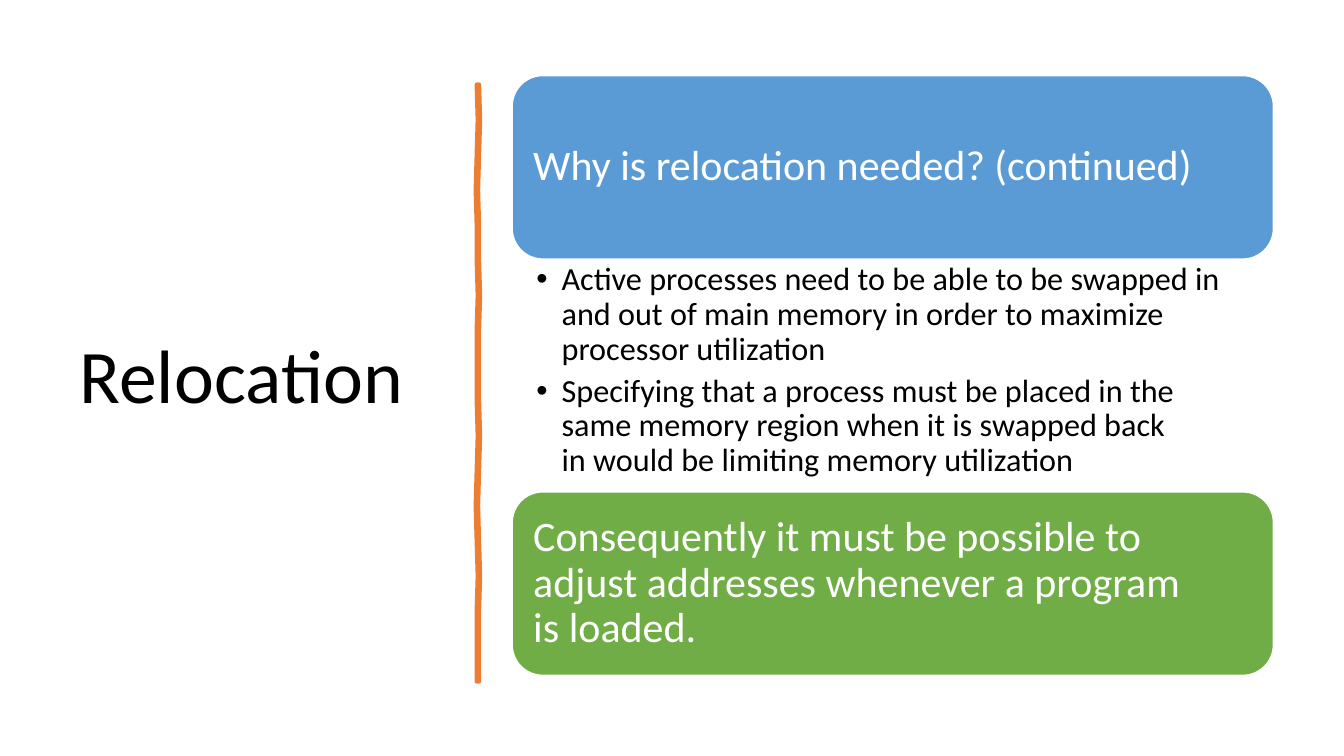
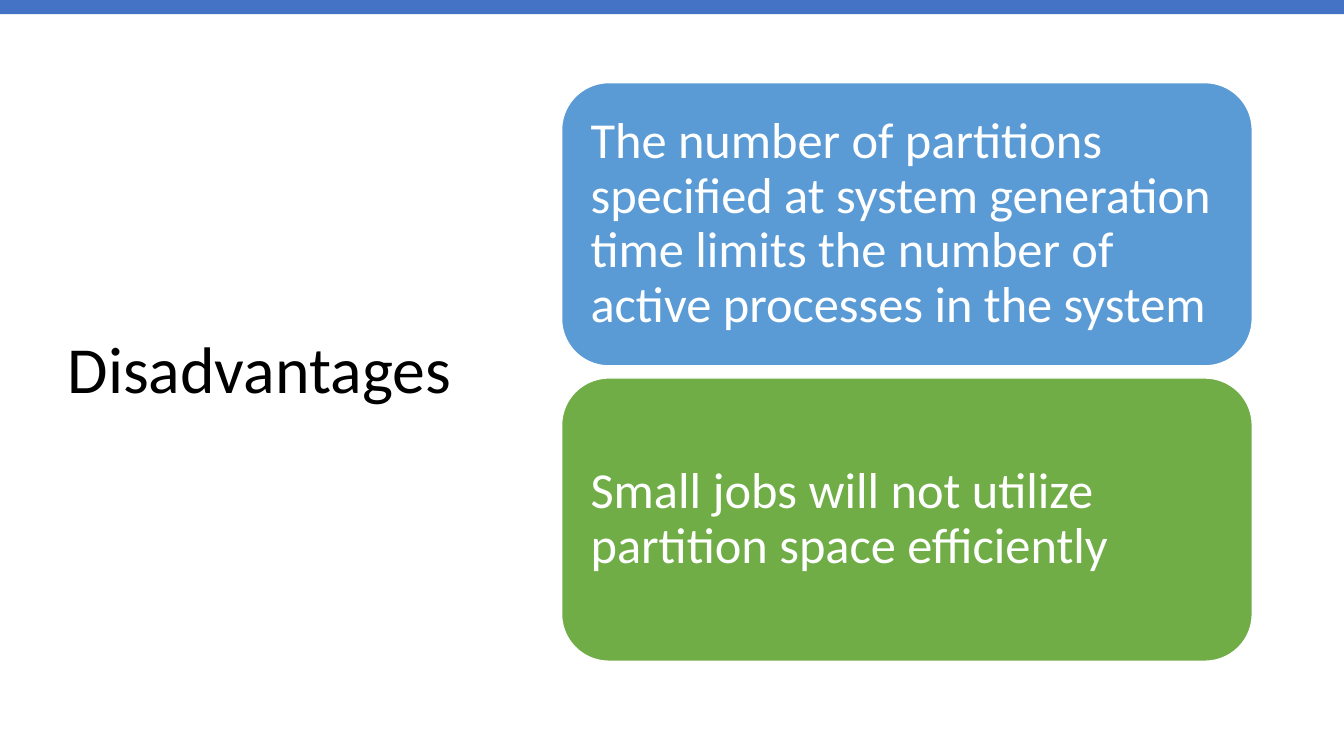
"""Two slides on memory relocation and the disadvantages of fixed partitions."""
from pptx import Presentation
from pptx import util as u
from pptx.dml.color import RGBColor
from pptx.enum import shapes, text

Inches, Pt = u.Inches, u.Pt
COLORS = {
    "black": "000000",
    "white": "FFFFFF",
    "blue": "5B9BD5",
    "green": "70AD47",
    "orange": "ED7D31",
    "band": "4472C4",
}


def write(shape, lines, size, color, insets, anchor):
    frame = shape.text_frame
    frame.word_wrap = True
    frame.auto_size = text.MSO_AUTO_SIZE.NONE
    frame.vertical_anchor = anchor
    frame.margin_left = frame.margin_right = Inches(insets[0])
    frame.margin_top = frame.margin_bottom = Inches(insets[1])
    frame.text = "\n".join(lines)
    for para in frame.paragraphs:
        para.alignment = text.PP_ALIGN.LEFT
        para.line_spacing = 0.9
        para.space_before = Pt(0)
        para.font.name = "Calibri"
        para.font.size = Pt(size)
        para.font.color.rgb = RGBColor.from_string(COLORS[color])


def paint(shape, fill, line=None, width=1):
    shape.shadow.inherit = False
    shape.fill.solid()
    shape.fill.fore_color.rgb = RGBColor.from_string(COLORS[fill])
    if line:
        shape.line.color.rgb = RGBColor.from_string(COLORS[line])
        shape.line.width = Pt(width)
    else:
        shape.line.fill.background()


deck = Presentation()
deck.slide_width, deck.slide_height = Inches(13.33), Inches(7.5)

contents = [
    {
        "layout": 1,
        "title": ("Relocation", 54, (0.69, 0.7, 3.74, 6.11)),
        "cards": [
            "Why is relocation needed? (continued)",
            "Consequently it must be possible to\vadjust addresses whenever a program\vis loaded.",
        ],
        "first": (5.08, 0.75, 7.55, 1.82),
        "step": 4.13,
        "size": 30,
        "inset": 0.12,
    },
    {
        "layout": 5,
        "title": ("Disadvantages", 47, (0.57, 0.68, 4.16, 6.02)),
        "cards": [
            "The number of partitions specified at system generation time "
            "limits the number of active processes in the system",
            "Small jobs will not utilize partition space efficiently",
        ],
        "first": (5.57, 0.82, 6.85, 2.81),
        "step": 2.93,
        "size": 36,
        "inset": 0.15,
    },
]

for content in contents:
    page = deck.slides.add_slide(deck.slide_layouts[content["layout"]])
    heading, heading_size, place = content["title"]
    title = page.shapes.title
    title.left, title.top, title.width, title.height = map(Inches, place)
    write(title, [heading], heading_size, "black", (0.1, 0.05), text.MSO_ANCHOR.MIDDLE)

    left, top, width, height = content["first"]
    for row, (words, fill) in enumerate(zip(content["cards"], ("blue", "green"))):
        card = page.shapes.add_shape(
            shapes.MSO_SHAPE.ROUNDED_RECTANGLE,
            Inches(left), Inches(top + row * content["step"]), Inches(width), Inches(height),
        )
        paint(card, fill, "white")
        inset = content["inset"]
        write(card, [words], content["size"], "white", (inset, inset), text.MSO_ANCHOR.MIDDLE)

relocation, disadvantages = deck.slides

reasons = relocation.placeholders[1]
reasons.left, reasons.top, reasons.width, reasons.height = map(Inches, (5.08, 2.57, 7.55, 2.31))
reason_lines = [
    "Active processes need to be able to be swapped in and out of main memory "
    "in order to maximize processor utilization",
    "Specifying that a process must be placed in the same memory region "
    "when it is swapped back\vin would be limiting memory utilization",
]
write(reasons, reason_lines, 23, "black", (0.24, 0.04), text.MSO_ANCHOR.TOP)
for para in reasons.text_frame.paragraphs:
    para.space_after = Pt(5)
    properties = para._p.get_or_add_pPr()
    properties.set("marL", str(Inches(0.25)))
    properties.set("indent", str(Inches(-0.25)))

wobble = [0, 1, 0, -1, 0, 0, 1, 0, 0, 0, 1, 0, -1, 0, 1, 0, 0, 0]
stroke_top, stroke_bottom = 0.84, 6.76
gap = (stroke_bottom - stroke_top) / (len(wobble) - 1)
right_edge = [(4.75 + 0.01 * shift, stroke_top + row * gap) for row, shift in enumerate(wobble)]
left_edge = [(x - 0.02, y) for x, y in reversed(right_edge)]
outline = [(Inches(x), Inches(y)) for x, y in right_edge + left_edge]
builder = relocation.shapes.build_freeform(*outline[0])
builder.add_line_segments(outline[1:], close=True)
paint(builder.convert_to_shape(), "orange", "orange", 3.25)

band = disadvantages.shapes.add_shape(
    shapes.MSO_SHAPE.RECTANGLE, 0, 0, deck.slide_width, Inches(0.14)
)
paint(band, "band")

deck.save("out.pptx")
